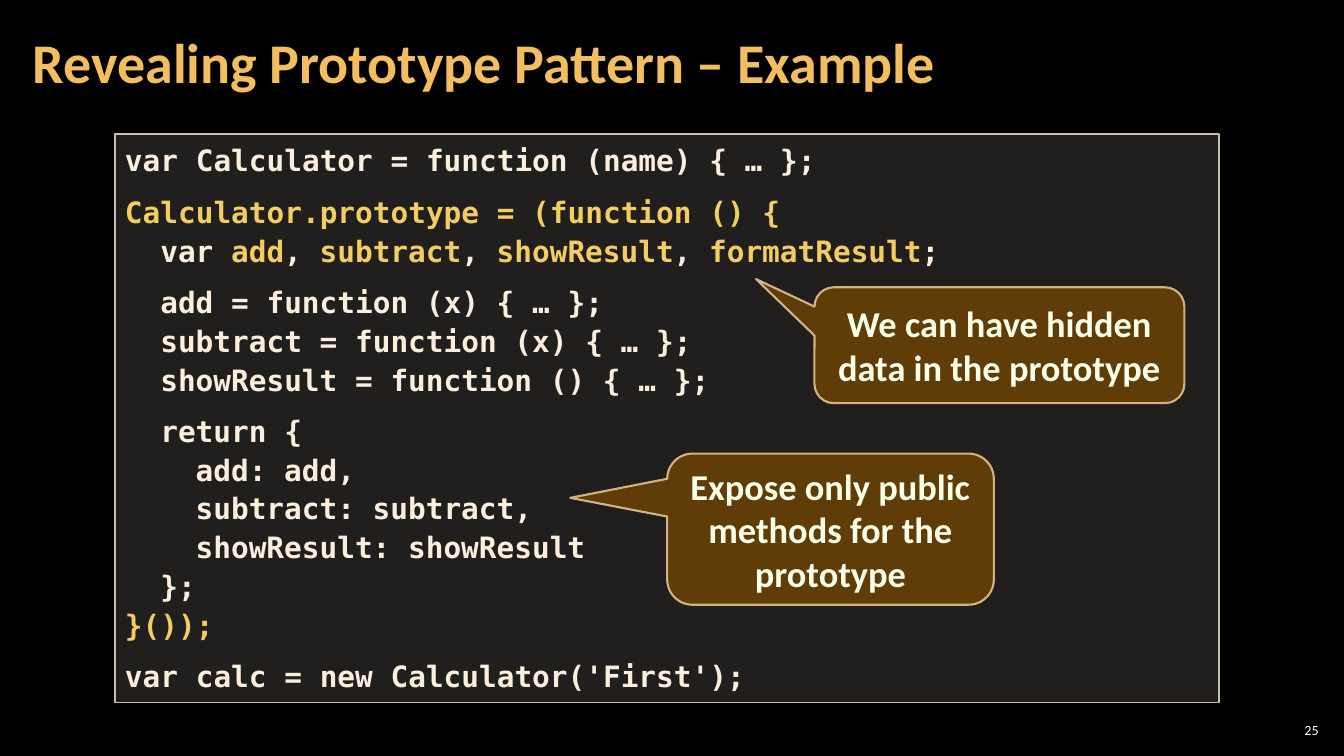
import pptx
import pptx.util
import pptx.dml.color
import pptx.enum.shapes
import pptx.enum.text
import pptx.oxml.ns
import lxml.etree
from dataclasses import dataclass

Cm = pptx.util.Cm
Pt = pptx.util.Pt
Align = pptx.enum.text.PP_ALIGN
Anchor = pptx.enum.text.MSO_ANCHOR
Shape = pptx.enum.shapes.MSO_SHAPE


@dataclass(frozen=True)
class Theme:
    back: str = "000000"
    title: str = "F3BE60"
    white: str = "FFFFFF"
    panel: str = "D9D5C7"
    edge: str = "C7BFAC"
    code: str = "FBEEDC"
    mark: str = "F3CD60"
    note: str = "643F07"
    rim: str = "F8D49E"
    words: str = "F7FFE7"
    sans: str = "Calibri"
    mono: str = "DejaVu Sans Mono"
    head_size: int = 40
    note_size: int = 26
    code_size: int = 21
    page_size: int = 10


THEME = Theme()

CODE = [
    [(0, "var Calculator = function (name) { … };")],
    [(0, "*Calculator.prototype = (function () {*"),
     (1, "var *add*, *subtract*, *showResult*, *formatResult*;")],
    [(1, "add = function (x) { … };"),
     (1, "subtract = function (x) { … };"),
     (1, "showResult = function () { … };")],
    [(1, "return {"),
     (2, "add: add,"),
     (2, "subtract: subtract,"),
     (2, "showResult: showResult"),
     (1, "};"),
     (0, "*}());*")],
    [(0, "var calc = new Calculator('First');")],
]

NOTES = [
    ("We can have hidden data in the prototype",
     (20.52, 7.24, 9.32, 2.92), (-0.658, -0.571, 0.167)),
    ("Expose only public methods for the prototype",
     (16.81, 11.43, 8.23, 3.81), (-0.797, -0.207, 0.167)),
]


def tint(hue):
    return pptx.dml.color.RGBColor.from_string(hue)


def style(run, size, hue, face, bold=True):
    run.font.size = Pt(size)
    run.font.bold = bold
    run.font.name = face
    run.font.color.rgb = tint(hue)


def fade(fill, share):
    color = fill._xPr.find(".//" + pptx.oxml.ns.qn("a:srgbClr"))
    alpha = lxml.etree.SubElement(color, pptx.oxml.ns.qn("a:alpha"))
    alpha.set("val", str(share * 1000))


def place(item, box):
    item.left, item.top, item.width, item.height = map(Cm, box)


def add_panel(slide, kind, box, fill, share, line, width):
    panel = slide.shapes.add_shape(kind, *map(Cm, box))
    panel.shadow.inherit = False
    panel.fill.solid()
    panel.fill.fore_color.rgb = tint(fill)
    fade(panel.fill, share)
    panel.line.color.rgb = tint(line)
    panel.line.width = Pt(width)
    panel.text_frame.word_wrap = True
    return panel


def add_title(slide, box, text):
    title = slide.shapes.title
    place(title, box)
    frame = title.text_frame
    frame.text = text
    frame.word_wrap = True
    frame.vertical_anchor = Anchor.MIDDLE
    frame.margin_left = frame.margin_right = Cm(0.3)
    frame.margin_top = frame.margin_bottom = Cm(0.1)
    line = frame.paragraphs[0]
    line.alignment = Align.LEFT
    line.line_spacing = 0.9
    style(line.runs[0], THEME.head_size, THEME.title, THEME.sans)


def add_code(slide, box, blocks):
    panel = add_panel(slide, Shape.RECTANGLE, box, THEME.panel, 15, THEME.edge, 1)
    frame = panel.text_frame
    frame.vertical_anchor = Anchor.TOP
    frame.auto_size = pptx.enum.text.MSO_AUTO_SIZE.SHAPE_TO_FIT_TEXT
    lines = [(depth, text, rank == 0 and block is not blocks[0])
             for block in blocks for rank, (depth, text) in enumerate(block)]
    for spot, (depth, text, gap) in enumerate(lines):
        line = frame.add_paragraph() if spot else frame.paragraphs[0]
        line.alignment = Align.LEFT
        line.line_spacing = 1.1
        line.space_before = Pt(9 if gap else 0)
        props = line._p.get_or_add_pPr()
        props.set("marL", str(Cm(0.89 * depth)))
        props.set("indent", "0")
        for turn, part in enumerate(text.split("*")):
            if part:
                run = line.add_run()
                run.text = part
                hue = THEME.mark if turn % 2 else THEME.code
                style(run, THEME.code_size, hue, THEME.mono)


def add_note(slide, box, text, shifts):
    note = add_panel(slide, Shape.ROUNDED_RECTANGULAR_CALLOUT, box,
                     THEME.note, 95, THEME.rim, 1.5)
    fade(note.line.fill, 80)
    for spot, shift in enumerate(shifts):
        note.adjustments[spot] = shift
    frame = note.text_frame
    frame.text = text
    frame.vertical_anchor = Anchor.MIDDLE
    line = frame.paragraphs[0]
    line.alignment = Align.CENTER
    style(line.runs[0], THEME.note_size, THEME.words, THEME.sans)


def add_page(slide, box, text):
    frame = slide.shapes.add_textbox(*map(Cm, box)).text_frame
    frame.text = text
    frame.word_wrap = True
    frame.vertical_anchor = Anchor.MIDDLE
    frame.margin_left = frame.margin_right = Cm(0.1)
    frame.margin_top = frame.margin_bottom = Cm(0.1)
    line = frame.paragraphs[0]
    line.alignment = Align.RIGHT
    style(line.runs[0], THEME.page_size, THEME.white, THEME.sans, False)


def main():
    deck = pptx.Presentation()
    deck.slide_width, deck.slide_height = Cm(33.86), Cm(19.05)
    slide = deck.slides.add_slide(deck.slide_layouts[5])
    slide.background.fill.solid()
    slide.background.fill.fore_color.rgb = tint(THEME.back)
    add_page(slide, (32.13, 18.14, 1.19, 0.53), "25")
    add_title(slide, (0.53, 0.1, 26.59, 3.07), "Revealing Prototype Pattern – Example")
    add_code(slide, (2.9, 3.38, 27.81, 14.33), CODE)
    for text, box, shifts in NOTES:
        add_note(slide, box, text, shifts)
    deck.save("out.pptx")


if __name__ == "__main__":
    main()
